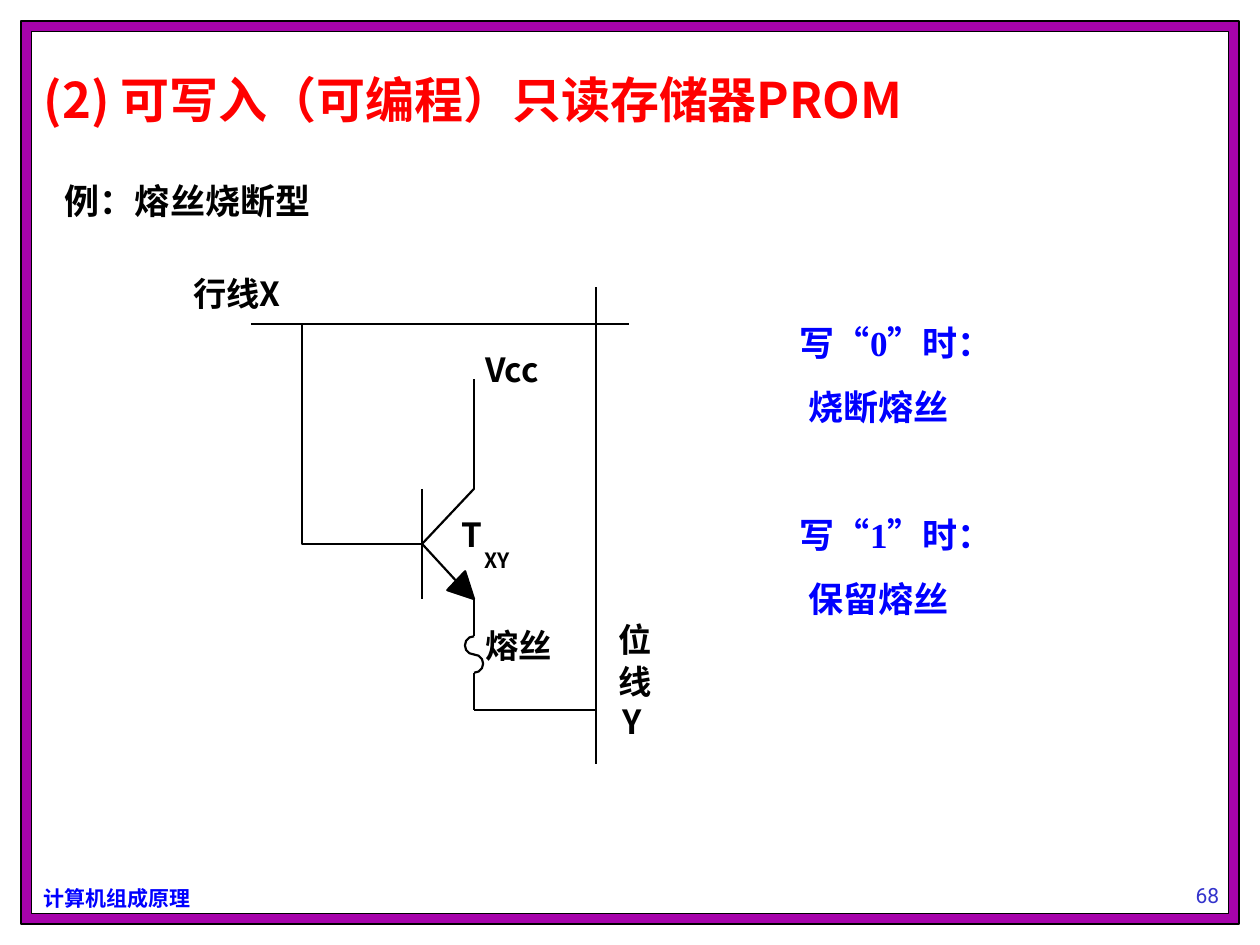
import math
from dataclasses import dataclass

from lxml import etree
from pptx import Presentation
from pptx import util as u
from pptx.dml.color import RGBColor
from pptx.enum import shapes, text
from pptx.oxml.ns import qn

COLUMNS, ROWS = 120, 90
CELL = u.Inches(10) / COLUMNS  # square cells


@dataclass(frozen=True)
class Theme:
    black: str = "000000"
    white: str = "FFFFFF"
    purple: str = "A603AB"
    red: str = "FF0000"
    blue: str = "0000FF"
    number_blue: str = "3333CC"
    sans: str = "Noto Sans CJK SC"
    serif: str = "Times New Roman"
    number_font: str = "Roboto"
    title: int = 28
    body: int = 20
    label: int = 19
    small: int = 12
    wire: float = 1.25
    border: float = 0.75


THEME = Theme()


def cells(*values):
    return [u.Emu(round(value * CELL)) for value in values]


def color(code):
    return RGBColor.from_string(code)


def style_line(shape, width):
    shape.line.color.rgb = color(THEME.black)
    shape.line.width = u.Pt(width)


def add_panel(slide, inset, fill):
    """Rectangle at the same distance from all four slide edges."""
    shape = slide.shapes.add_shape(
        shapes.MSO_SHAPE.RECTANGLE,
        *cells(inset, inset, COLUMNS - 2 * inset, ROWS - 2 * inset))
    shape.shadow.inherit = False
    shape.fill.solid()
    shape.fill.fore_color.rgb = color(fill)
    style_line(shape, THEME.border)


def add_text(slide, box, lines, size, code=THEME.black, font=THEME.sans,
             bold=True, wrap=True, margins=True):
    shape = slide.shapes.add_textbox(*cells(*box))
    frame = shape.text_frame
    frame.word_wrap = wrap
    if not wrap:
        frame.auto_size = text.MSO_AUTO_SIZE.SHAPE_TO_FIT_TEXT
    if not margins:
        frame.margin_left = frame.margin_right = 0
        frame.margin_top = frame.margin_bottom = 0
    frame.text = "\n".join(lines)
    for paragraph in frame.paragraphs:
        for run in paragraph.runs:
            run.font.size = u.Pt(size)
            run.font.bold = bold
            run.font.name = font
            run.font.color.rgb = color(code)
            east_asian = etree.SubElement(run.font._element, qn("a:ea"))
            east_asian.set("typeface", THEME.sans)
    return frame


def add_label(slide, left, top, width, wording, size=THEME.label):
    height = 3.84 * size / THEME.label
    add_text(slide, (left, top, width, height), [wording], size,
             wrap=False, margins=False)


def add_wire(slide, start, end):
    wire = slide.shapes.add_connector(
        shapes.MSO_CONNECTOR.STRAIGHT, *cells(*start, *end))
    style_line(wire, THEME.wire)
    etree.SubElement(wire._element.spPr, qn("a:effectLst"))


def add_outline(slide, points, closed=False):
    first, *rest = [cells(*point) for point in points]
    builder = slide.shapes.build_freeform(*first)
    builder.add_line_segments(rest, close=closed)
    shape = builder.convert_to_shape()
    shape.shadow.inherit = False
    if closed:
        shape.fill.solid()
        shape.fill.fore_color.rgb = color(THEME.black)
    else:
        shape.fill.background()
    style_line(shape, THEME.wire)


def half_circle(x, top, radius, side):
    """Points of an arc going down from (x, top), bulging to side -1 or 1."""
    angles = [math.radians(step * 30) for step in range(7)]
    return [(x + side * radius * math.sin(angle),
             top + radius * (1 - math.cos(angle))) for angle in angles]


def add_frame(slide):
    add_panel(slide, 2, THEME.purple)
    add_panel(slide, 3, THEME.white)
    add_text(slide, (3, 83.76, 18, 3.6), ["计算机组成原理"], THEME.small,
             THEME.blue)
    number = add_text(slide, (104, 81, 22, 6), ["68"], THEME.small,
                      THEME.number_blue, THEME.number_font, bold=False)
    number.vertical_anchor = text.MSO_ANCHOR.BOTTOM
    number.paragraphs[0].alignment = text.PP_ALIGN.CENTER


def add_write_rules(slide):
    frame = add_text(slide, (75, 30, 34, 35.6),
                     ["写“0”时：", "烧断熔丝", "写“1”时：", "保留熔丝"],
                     THEME.body, THEME.blue, THEME.serif)
    zero, burn, one, keep = frame.paragraphs
    one.space_before = u.Pt(49.5)
    for action in (burn, keep):
        action.space_before = u.Pt(12.5)
        action._p.get_or_add_pPr().set("marL", str(u.Pt(5)))


def add_circuit(slide):
    row_x, gate_x, base_x, emitter_x, bit_x = 23.9, 28.8, 40.2, 45.15, 56.8
    row_y, base_y, half_bar = 30.85, 51.8, 5.25
    collector_y, emitter_y = base_y - half_bar, base_y + half_bar
    fuse_y, radius, bottom_y = 60.6, 0.87, 67.6
    fuse_end = fuse_y + 4 * radius

    # Row line, bit line and gate
    add_wire(slide, (row_x, row_y), (59.9, row_y))
    add_wire(slide, (bit_x, 27.35), (bit_x, 72.75))
    add_outline(slide, [(gate_x, row_y), (gate_x, base_y), (base_x, base_y)])

    # Transistor
    add_wire(slide, (base_x, collector_y), (base_x, emitter_y))
    add_wire(slide, (emitter_x, collector_y), (base_x, base_y))
    add_wire(slide, (emitter_x, 36.1), (emitter_x, collector_y))
    add_wire(slide, (base_x, base_y), (43.7, 55.6))
    add_outline(slide, [(44.3, 54.4), (emitter_x, emitter_y), (42.6, 56.2)],
                closed=True)

    # Fuse and its way to the bit line
    add_wire(slide, (emitter_x, emitter_y), (emitter_x, fuse_y))
    for half, side in enumerate((-1, 1)):
        add_outline(slide, half_circle(
            emitter_x, fuse_y + 2 * radius * half, radius, side))
    add_wire(slide, (emitter_x, fuse_end), (emitter_x, bottom_y))
    add_wire(slide, (emitter_x, bottom_y), (bit_x, bottom_y))

    # Labels
    for label in [(18.4, 26.05, 9.2, "行线X"), (46.2, 33.25, 5.3, "Vcc"),
                  (44, 49, 1.8, "T"), (46.15, 52.15, 2.6, "XY", THEME.small),
                  (46.2, 59.55, 6.35, "熔丝"), (58.95, 58.95, 3.1, "位"),
                  (58.95, 63, 3.1, "线"), (59.3, 66.8, 1.9, "Y")]:
        add_label(slide, *label)


def main():
    presentation = Presentation()
    presentation.slide_width, presentation.slide_height = cells(COLUMNS, ROWS)
    slide = presentation.slides.add_slide(presentation.slide_layouts[6])
    add_frame(slide)
    add_text(slide, (3, 6, 97, 6.85), ["(2) 可写入（可编程）只读存储器PROM"],
             THEME.title, THEME.red)
    add_text(slide, (5, 16.5, 27.7, 5.25), ["例：熔丝烧断型"],
             THEME.body, font=THEME.serif)
    add_write_rules(slide)
    add_circuit(slide)
    presentation.save("out.pptx")


if __name__ == "__main__":
    main()
